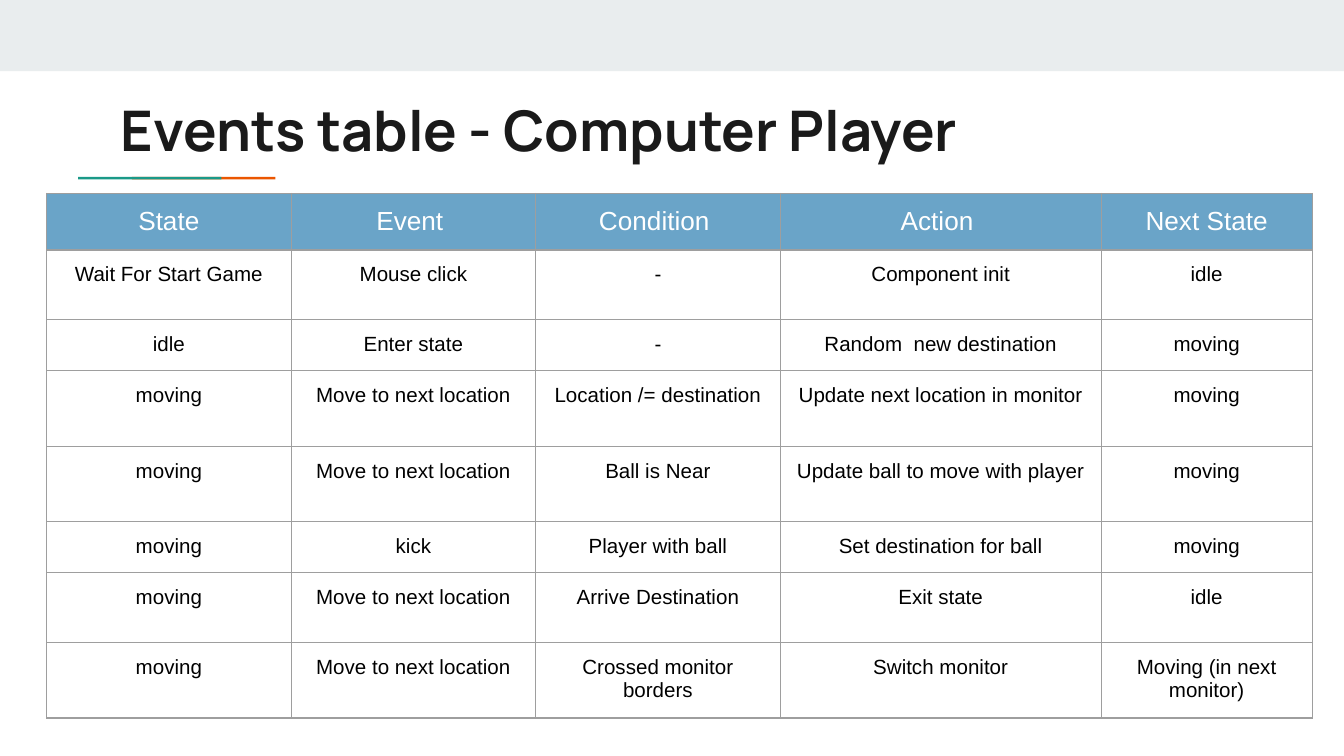
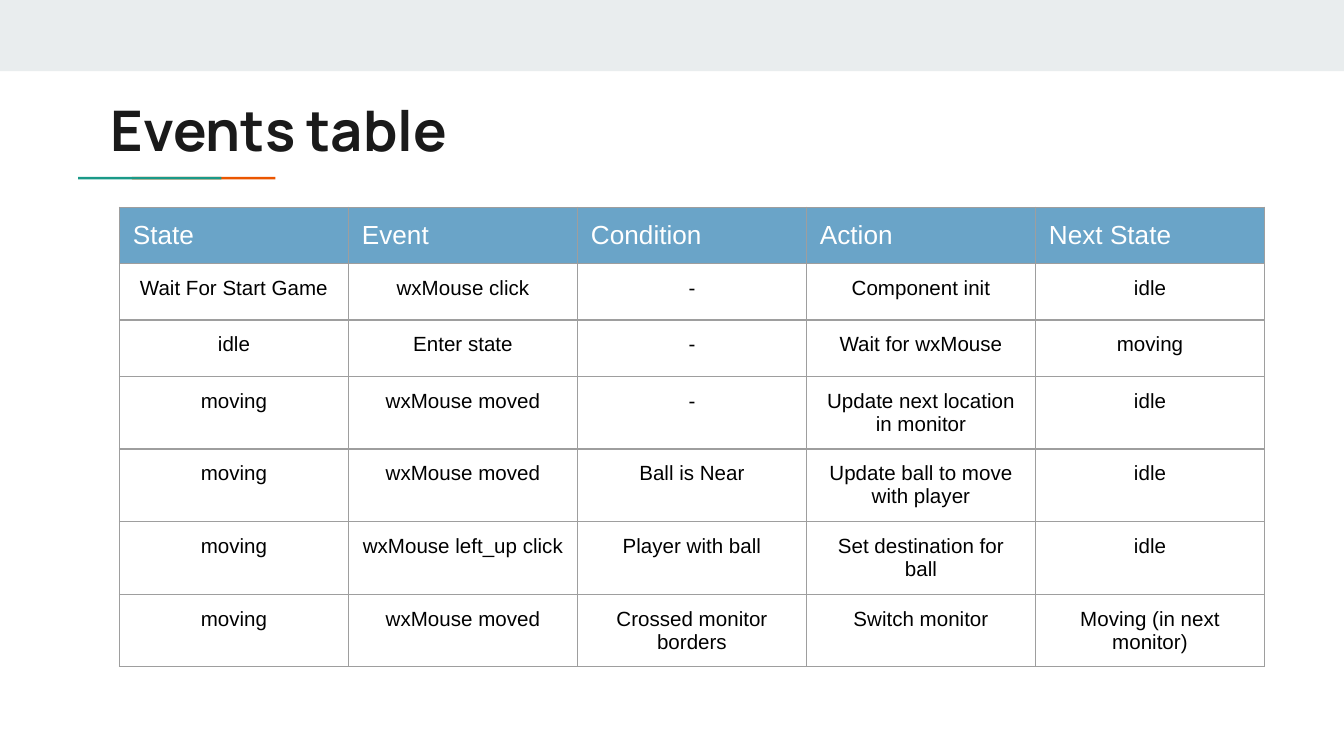
from dataclasses import dataclass

from lxml.etree import SubElement
from pptx import Presentation
from pptx.dml.color import RGBColor
from pptx.enum.shapes import MSO_SHAPE as Preset
from pptx.enum.text import MSO_ANCHOR as Anchor, MSO_AUTO_SIZE as AutoSize, PP_ALIGN as Align
from pptx.oxml.ns import qn
from pptx.util import Pt


@dataclass(frozen=True)
class Theme:
    band: str = "E9EDEE"
    accent_green: str = "1A9988"
    accent_orange: str = "EB5600"
    title: str = "1A1A1A"
    header_fill: str = "6AA4C8"
    header_text: str = "FFFFFF"
    body_text: str = "000000"
    border: str = "9E9E9E"
    title_font: str = "Manrope"
    table_font: str = "Arial"
    title_size: float = 30
    header_size: float = 14
    body_size: float = 11
    border_width: float = 0.75
    inset: float = 7.2


SLIDE_WIDTH, SLIDE_HEIGHT = 720, 405
TITLE_ONLY = 5
SIDES = ("left", "top", "right", "bottom")

COMPUTER_PLAYER_EVENTS = [
    ["State", "Event ", "Condition ", "Action ", "Next State"],
    ["Wait For Start Game", "Mouse click", "-", "Component init", "idle"],
    ["idle", "Enter state", "-", "Random  new destination", "moving"],
    ["moving", "Move to next location", "Location /= destination",
     "Update next location in monitor", "moving"],
    ["moving", "Move to next location", "Ball is Near", "Update ball to move with player", "moving"],
    ["moving", "kick", "Player with ball", "Set destination for ball", "moving"],
    ["moving", "Move to next location", "Arrive Destination", "Exit state", "idle"],
    ["moving", "Move to next location", "Crossed monitor borders", "Switch monitor",
     "Moving (in next monitor)"],
]

PLAYER_EVENTS = [
    ["State", "Event", "Condition", "Action", "Next State"],
    ["Wait For Start Game", "wxMouse click", "-", "Component init", "idle"],
    ["idle", "Enter state", "-", "Wait for wxMouse", "moving"],
    ["moving", "wxMouse moved", "-", "Update next location in monitor", "idle"],
    ["moving", "wxMouse moved", "Ball is Near", "Update ball to move with player", "idle"],
    ["moving", "wxMouse left_up click", "Player with ball", "Set destination for ball", "idle"],
    ["moving", "wxMouse moved", "Crossed monitor borders", "Switch monitor",
     "Moving (in next monitor)"],
]


class Deck:
    def __init__(self, theme):
        self.theme = theme
        self.presentation = Presentation()
        self.presentation.slide_width = Pt(SLIDE_WIDTH)
        self.presentation.slide_height = Pt(SLIDE_HEIGHT)
        self.slide = None

    def add_slide(self, title, title_left):
        layout = self.presentation.slide_layouts[TITLE_ONLY]
        self.slide = self.presentation.slides.add_slide(layout)
        self.add_bar(0, 0, SLIDE_WIDTH, 38.2, self.theme.band)
        # The green bar lies over the first part of the orange one.
        self.add_bar(70.7, 94.7, 76.8, 1.4, self.theme.accent_orange)
        self.add_bar(41.9, 94.7, 76.8, 1.4, self.theme.accent_green)
        self.set_title(title, title_left)

    def add_bar(self, left, top, width, height, color):
        shape = self.slide.shapes.add_shape(
            Preset.RECTANGLE, Pt(left), Pt(top), Pt(width), Pt(height))
        shape.shadow.inherit = False
        shape.fill.solid()
        shape.fill.fore_color.rgb = RGBColor.from_string(color)
        shape.line.fill.background()

    def set_title(self, text, left):
        theme = self.theme
        shape = self.slide.shapes.title
        box = {"left": left, "top": 43.9, "width": 605.5, "height": 42.5}
        for name, value in box.items():
            setattr(shape, name, Pt(value))
        frame = shape.text_frame
        margins = {f"margin_{side}": Pt(theme.inset) for side in SIDES}
        settings = {"auto_size": AutoSize.NONE, "word_wrap": True, "vertical_anchor": Anchor.TOP}
        for name, value in {**margins, **settings}.items():
            setattr(frame, name, value)
        self.add_text(frame, text, Align.LEFT, theme.title,
                      {"name": theme.title_font, "size": Pt(theme.title_size), "bold": True})

    def add_text(self, frame, text, alignment, color, font_format):
        paragraph = frame.paragraphs[0]
        paragraph.alignment = alignment
        run = paragraph.add_run()
        run.text = text
        for name, value in font_format.items():
            setattr(run.font, name, value)
        run.font.color.rgb = RGBColor.from_string(color)

    def add_table(self, left, top, column_widths, row_heights, rows, header_alignment):
        table = self.slide.shapes.add_table(
            len(rows), len(column_widths), Pt(left), Pt(top),
            Pt(sum(column_widths)), Pt(sum(row_heights))).table
        table.first_row = table.horz_banding = False
        for column, width in zip(table.columns, column_widths):
            column.width = Pt(width)
        for row, height in zip(table.rows, row_heights):
            row.height = Pt(height)
        for row_index, texts in enumerate(rows):
            for column_index, text in enumerate(texts):
                self.fill_cell(table.cell(row_index, column_index), text,
                               row_index == 0, header_alignment)

    def fill_cell(self, cell, text, is_header, header_alignment):
        theme = self.theme
        self.add_borders(cell)
        for side in SIDES:
            setattr(cell, f"margin_{side}", Pt(theme.inset))
        if is_header:
            cell.fill.solid()
            cell.fill.fore_color.rgb = RGBColor.from_string(theme.header_fill)
            alignment, color, size = header_alignment, theme.header_text, theme.header_size
        else:
            cell.fill.background()
            alignment, color, size = Align.CENTER, theme.body_text, theme.body_size
        self.add_text(cell.text_frame, text, alignment, color,
                      {"name": theme.table_font, "size": Pt(size), "bold": False})

    def add_borders(self, cell):
        """Line all four sides; must run before the cell is filled."""
        properties = cell._tc.get_or_add_tcPr()
        for tag in ("a:lnL", "a:lnR", "a:lnT", "a:lnB"):
            line = SubElement(properties, qn(tag), w=str(Pt(self.theme.border_width)))
            fill = SubElement(line, qn("a:solidFill"))
            SubElement(fill, qn("a:srgbClr"), val=self.theme.border)


def main():
    deck = Deck(Theme())

    deck.add_slide("Events table - Computer Player", title_left=57.6)
    deck.add_table(25, 103.7, [131, 131, 131, 172, 113],
                   [30.2, 37.4, 27.4, 40.4, 40.4, 27.4, 37.4, 40.4],
                   COMPUTER_PLAYER_EVENTS, Align.CENTER)

    deck.add_slide("Events table", title_left=52)
    deck.add_table(64, 111, [122.7] * 5, [30.2] * len(PLAYER_EVENTS),
                   PLAYER_EVENTS, Align.LEFT)

    deck.presentation.save("out.pptx")


if __name__ == "__main__":
    main()
